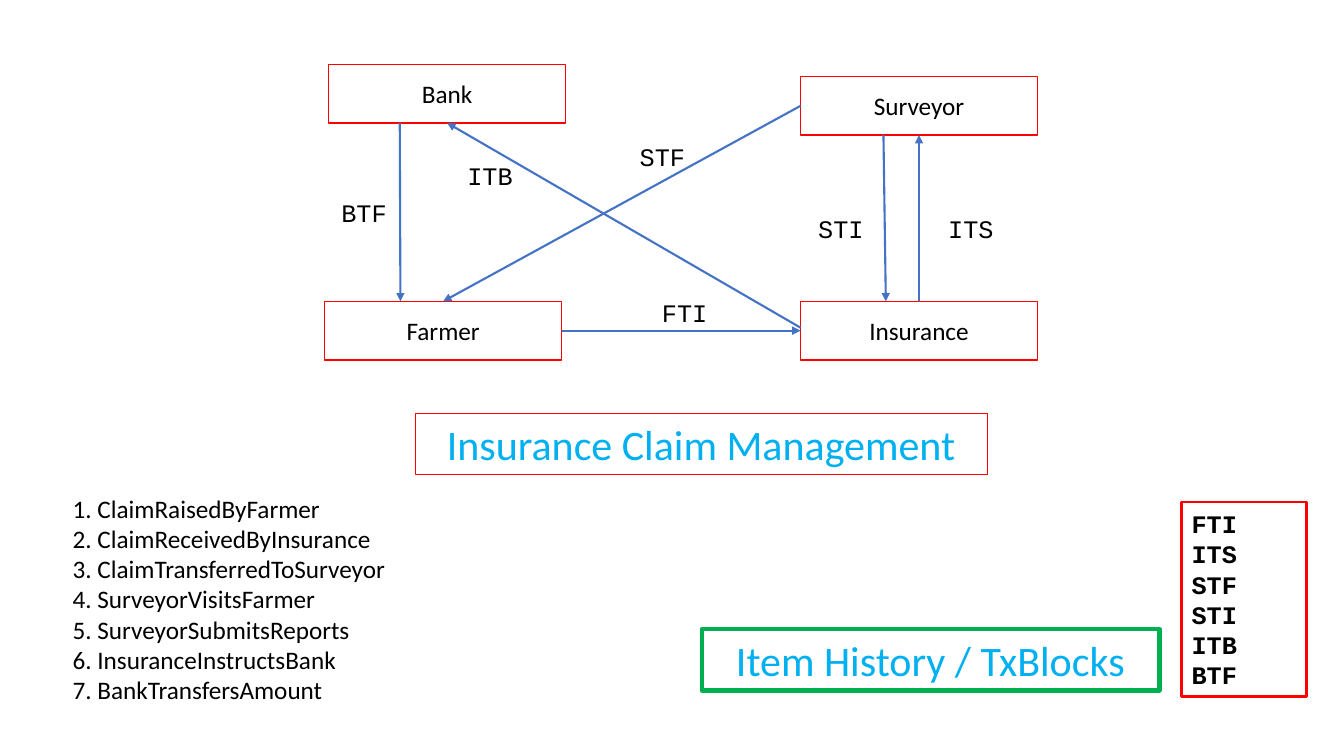
from dataclasses import dataclass

from lxml.etree import SubElement
from pptx import Presentation
from pptx.dml.color import RGBColor
from pptx.enum.shapes import MSO_CONNECTOR, MSO_SHAPE
from pptx.enum.text import MSO_ANCHOR, MSO_AUTO_SIZE, PP_ALIGN
from pptx.oxml.ns import qn
from pptx.util import Inches, Pt


@dataclass(frozen=True)
class Theme:
    text: str = "000000"
    heading: str = "00B0F0"
    frame: str = "FF0000"
    history_frame: str = "00B050"
    arrow: str = "4472C4"
    font: str = "Calibri"
    code_font: str = "Courier New"
    text_size: float = 18
    heading_size: float = 30


@dataclass(frozen=True)
class Box:
    """A rectangle in inches."""
    left: float
    top: float
    width: float
    height: float

    def inside(self, left, top, width, height):
        return Box(self.left + left, self.top + top, width, height)

    def point(self, across, down):
        """Point at the given shares of the width and height."""
        return (Inches(self.left + across * self.width),
                Inches(self.top + down * self.height))

    def emu(self):
        return [Inches(n) for n in (self.left, self.top, self.width, self.height)]


THEME = Theme()
SLIDE_SIZE = (13.33, 7.5)
DIAGRAM_BOX = Box(3.22, 0.64, 7.07, 2.93)
TITLE_BOX = Box(4.12, 4.1, 5.67, 0.61)
STEPS_BOX = Box(0.62, 4.84, 3.63, 2.22)
HISTORY_BOX = Box(6.96, 4.98, 6, 1.93)

NODE_SIZE = (2.35, 0.58)
LABEL_SIZE = (2.36, 0.4)
# Offsets of the nodes from the corner of the diagram
NODES = {
    "Bank": (0.04, 0),
    "Surveyor": (4.72, 0.12),
    "Farmer": (0, 2.35),
    "Insurance": (4.72, 2.35),
}
# Code, start node and shares, end node and shares, label offset
FLOWS = [
    ("FTI", "Farmer", (1, 0.5), "Insurance", (0, 0.5), (2.39, 2.26)),
    ("ITS", "Insurance", (0.5, 0), "Surveyor", (0.5, 1), (5.23, 1.43)),
    ("STF", "Surveyor", (0, 0.5), "Farmer", (0.5, 0), (2.17, 0.71)),
    ("STI", "Surveyor", (0.35, 1), "Insurance", (0.36, 0), (3.94, 1.43)),
    ("ITB", "Insurance", (0, 0.45), "Bank", (0.5, 1), (0.46, 0.9)),
    ("BTF", "Bank", (0.3, 1), "Farmer", (0.32, 0), (-0.79, 1.27)),
]
STEPS = [
    "ClaimRaisedByFarmer",
    "ClaimReceivedByInsurance",
    "ClaimTransferredToSurveyor",
    "SurveyorVisitsFarmer",
    "SurveyorSubmitsReports",
    "InsuranceInstructsBank",
    "BankTransfersAmount",
]


def place(shape, box):
    shape.left, shape.top, shape.width, shape.height = box.emu()


def write(shape, lines, size=THEME.text_size, color=THEME.text, font=THEME.font,
          bold=False, align=PP_ALIGN.CENTER, anchor=MSO_ANCHOR.MIDDLE):
    frame = shape.text_frame
    frame.word_wrap = True
    frame.auto_size = MSO_AUTO_SIZE.NONE
    frame.vertical_anchor = anchor
    for index, line in enumerate(lines):
        paragraph = frame.add_paragraph() if index else frame.paragraphs[0]
        paragraph.alignment = align
        paragraph.space_before = Pt(0)
        run = paragraph.add_run()
        run.text = line
        run.font.name = font
        run.font.size = Pt(size)
        run.font.bold = bold
        run.font.color.rgb = RGBColor.from_string(color)


def outline(shape, color, width):
    shape.fill.background()
    shape.line.color.rgb = RGBColor.from_string(color)
    shape.line.width = Pt(width)


def add_frame(slide, box, color, width):
    shape = slide.shapes.add_shape(MSO_SHAPE.RECTANGLE, *box.emu())
    shape.shadow.inherit = False
    outline(shape, color, width)
    return shape


def add_arrow(slide, start, end):
    arrow = slide.shapes.add_connector(MSO_CONNECTOR.STRAIGHT, *start, *end)
    arrow.line.color.rgb = RGBColor.from_string(THEME.arrow)
    arrow.line.width = Pt(1.5)
    SubElement(arrow.line._get_or_add_ln(), qn("a:tailEnd"), type="triangle")
    SubElement(arrow._element.spPr, qn("a:effectLst"))


def add_diagram(slide, box):
    nodes = {name: box.inside(*offset, *NODE_SIZE) for name, offset in NODES.items()}
    for name, node in nodes.items():
        write(add_frame(slide, node, THEME.frame, 1), [name])
    for code, source, exit_share, target, entry_share, offset in FLOWS:
        add_arrow(slide, nodes[source].point(*exit_share),
                  nodes[target].point(*entry_share))
        label = slide.shapes.add_textbox(*box.inside(*offset, *LABEL_SIZE).emu())
        write(label, [code], font=THEME.code_font, anchor=MSO_ANCHOR.TOP)


def add_title(slide, box):
    title = slide.shapes.title
    place(title, box)
    outline(title, THEME.frame, 0.75)
    write(title, ["Insurance Claim Management"], THEME.heading_size, THEME.heading)


def add_steps(slide, box):
    body = slide.placeholders[1]
    place(body, box)
    write(body, [f"{number}. {step}" for number, step in enumerate(STEPS, 1)],
          align=PP_ALIGN.LEFT, anchor=MSO_ANCHOR.TOP)
    for paragraph in body.text_frame.paragraphs:
        properties = paragraph._p.get_or_add_pPr()
        properties.set("marL", "0")
        properties.set("indent", "0")
        SubElement(properties, qn("a:buNone"))


def add_history(slide, box):
    """Heading at the lower left, codes of the flows in a column at the right."""
    codes_width, heading_width, heading_height = 1.24, 4.54, 0.61
    codes_box = box.inside(box.width - codes_width, 0, codes_width, box.height)
    write(add_frame(slide, codes_box, THEME.frame, 2), [flow[0] for flow in FLOWS],
          font=THEME.code_font, bold=True, align=PP_ALIGN.LEFT)
    heading_box = box.inside(0, 1.26, heading_width, heading_height)
    write(add_frame(slide, heading_box, THEME.history_frame, 3),
          ["Item History / TxBlocks"], THEME.heading_size, THEME.heading)


def main():
    presentation = Presentation()
    presentation.slide_width, presentation.slide_height = map(Inches, SLIDE_SIZE)
    slide = presentation.slides.add_slide(presentation.slide_layouts[1])
    add_diagram(slide, DIAGRAM_BOX)
    add_title(slide, TITLE_BOX)
    add_steps(slide, STEPS_BOX)
    add_history(slide, HISTORY_BOX)
    presentation.save("out.pptx")


if __name__ == "__main__":
    main()
